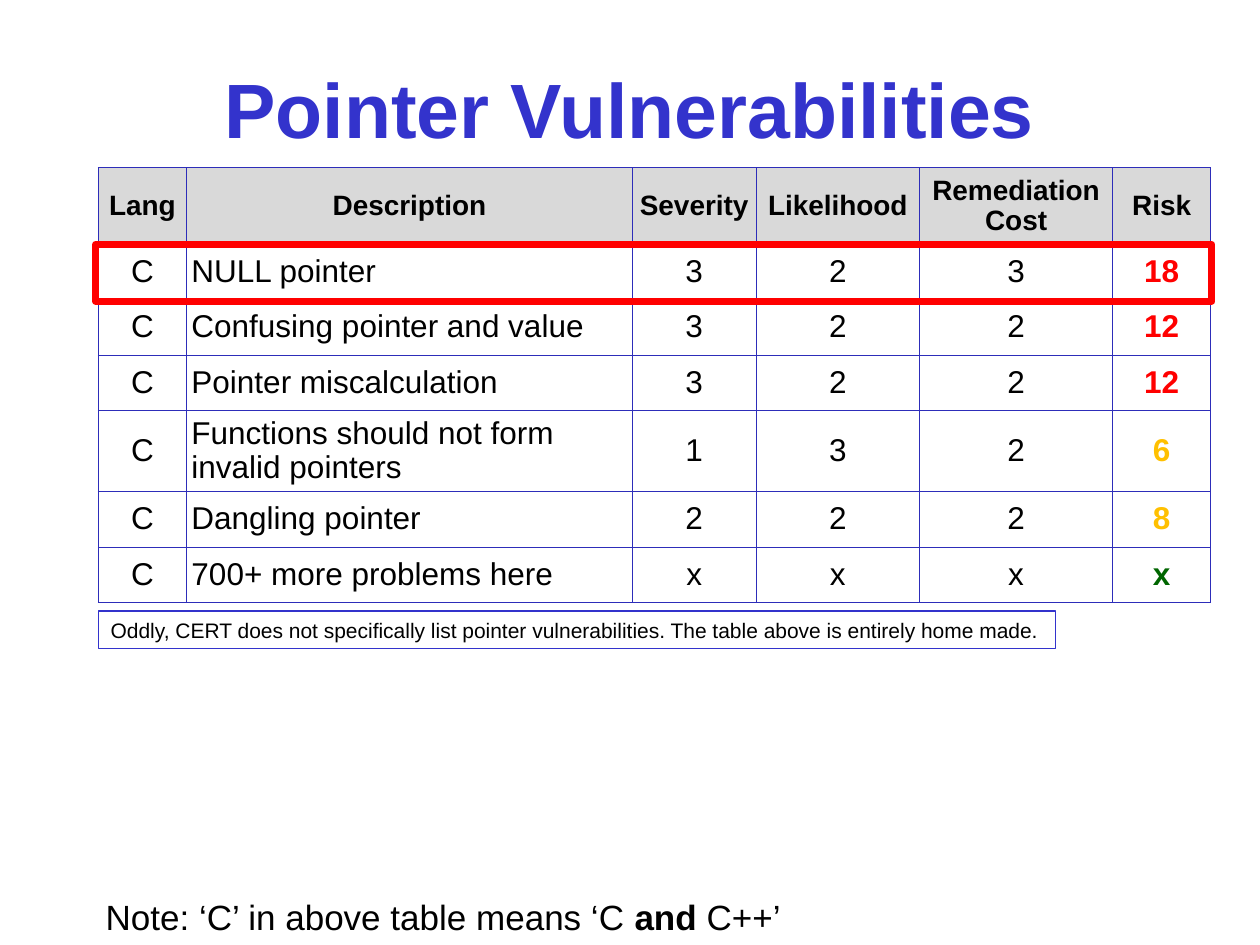
from pptx import Presentation
from pptx.dml.color import RGBColor as RGB
from pptx.enum.shapes import MSO_SHAPE as Shape
from pptx.enum.text import MSO_ANCHOR as Anchor, PP_ALIGN as Align
from pptx.oxml import parse_xml
from pptx.oxml.ns import nsdecls
from pptx.util import Inches, Pt

COLORS = {
    "title": "3333CC", "text": "000000", "head": "D9D9D9", "grid": "2D2DB9",
    "high": "FF0000", "mid": "FFC000", "low": "006600",
}
HEADS = ["Lang", "Description", "Severity", "Likelihood", "Remediation Cost", "Risk"]
ROWS = [
    ("C", "NULL pointer", "3", "2", "3", "18", "high"),
    ("C", "Confusing pointer and value", "3", "2", "2", "12", "high"),
    ("C", "Pointer miscalculation", "3", "2", "2", "12", "high"),
    ("C", "Functions should not form invalid pointers", "1", "3", "2", "6", "mid"),
    ("C", "Dangling pointer", "2", "2", "2", "8", "mid"),
    ("C", "700+ more problems here", "x", "x", "x", "x", "low"),
]
WIDTHS = [0.7, 3.54, 0.98, 1.3, 1.53, 0.78]
HEIGHTS = [0.61, 0.44, 0.44, 0.44, 0.6, 0.44, 0.44]


class Deck:
    face = "Arial"

    def __init__(self):
        self.prs = Presentation()
        self.prs.slide_width, self.prs.slide_height = Inches(10), Inches(7.5)
        self.slide = self.prs.slides.add_slide(self.prs.slide_layouts[5])

    def style(self, para, size, color="text", bold=False, align=Align.LEFT):
        para.alignment = align
        font = para.font
        font.name, font.size, font.bold = self.face, Pt(size), bold
        font.color.rgb = RGB.from_string(COLORS[color])

    def title(self, text, *box):
        shape = self.slide.shapes.title
        shape.left, shape.top, shape.width, shape.height = map(Inches, box)
        frame = shape.text_frame
        frame.text, frame.vertical_anchor = text, Anchor.MIDDLE
        self.style(frame.paragraphs[0], 44, "title", True, Align.CENTER)

    def border(self, cell):
        props = cell._tc.get_or_add_tcPr()
        for i, side in enumerate(("lnL", "lnR", "lnT", "lnB")):
            props.insert(i, parse_xml(
                f'<a:{side} {nsdecls("a")} w="{Pt(0.45)}"><a:solidFill>'
                f'<a:srgbClr val="{COLORS["grid"]}"/></a:solidFill></a:{side}>'))

    def cell(self, cell, text, size, color, bold, align, fill=None):
        cell.text, cell.vertical_anchor = text, Anchor.MIDDLE
        cell.margin_left = cell.margin_right = Inches(0.04)
        cell.margin_top = cell.margin_bottom = Inches(0.05)
        para = cell.text_frame.paragraphs[0]
        para.line_spacing = 0.97
        self.style(para, size, color, bold, align)
        if fill:
            cell.fill.solid()
            cell.fill.fore_color.rgb = RGB.from_string(COLORS[fill])
        else:
            cell.fill.background()
        self.border(cell)

    def table(self, left, top):
        grid = self.slide.shapes.add_table(
            len(HEIGHTS), len(WIDTHS), Inches(left), Inches(top),
            Inches(sum(WIDTHS)), Inches(sum(HEIGHTS))).table
        for col, width in zip(grid.columns, WIDTHS):
            col.width = Inches(width)
        for row, height in zip(grid.rows, HEIGHTS):
            row.height = Inches(height)
        for c, head in enumerate(HEADS):
            self.cell(grid.cell(0, c), head, 16, "text", True, Align.CENTER, "head")
        for r, (*texts, level) in enumerate(ROWS, 1):
            for c, text in enumerate(texts):
                risk = HEADS[c] == "Risk"
                align = Align.LEFT if HEADS[c] == "Description" else Align.CENTER
                self.cell(grid.cell(r, c), text, 18, level if risk else "text", risk, align)

    def frame(self, color, weight, *box):
        shape = self.slide.shapes.add_shape(Shape.RECTANGLE, *map(Inches, box))
        shape.shadow.inherit = False
        shape.fill.background()
        shape.line.color.rgb = RGB.from_string(COLORS[color])
        shape.line.width = Pt(weight)
        return shape

    def label(self, shape, size, *parts):
        frame = shape.text_frame
        frame.word_wrap, frame.vertical_anchor = True, Anchor.TOP
        para = frame.paragraphs[0]
        self.style(para, size)
        for text, bold in parts:
            run = para.add_run()
            run.text = text
            if bold:
                run.font.bold = True

    def text(self, size, box, *parts):
        self.label(self.slide.shapes.add_textbox(*map(Inches, box)), size, *parts)


def main():
    deck = Deck()
    # Remark under the table
    remark = deck.frame("title", 0.75, 0.78, 4.85, 7.6, 0.3)
    deck.label(remark, 12, (
        "Oddly, CERT does not specifically list pointer vulnerabilities. "
        "The table above is entirely home made.", False))
    # Title and risk table
    deck.title("Pointer Vulnerabilities", 0, 0.23, 10, 1.25)
    deck.table(0.78, 1.33)
    # Footnote
    deck.text(20, (0.74, 7.06, 9.06, 0.44), ("Note: ‘C’ in above table means ‘C ", False),
              ("and", True), (" C++’", False))
    # Highlight on the first row
    deck.frame("high", 4, 0.76, 1.94, 8.86, 0.45)
    deck.prs.save("out.pptx")


if __name__ == "__main__":
    main()
